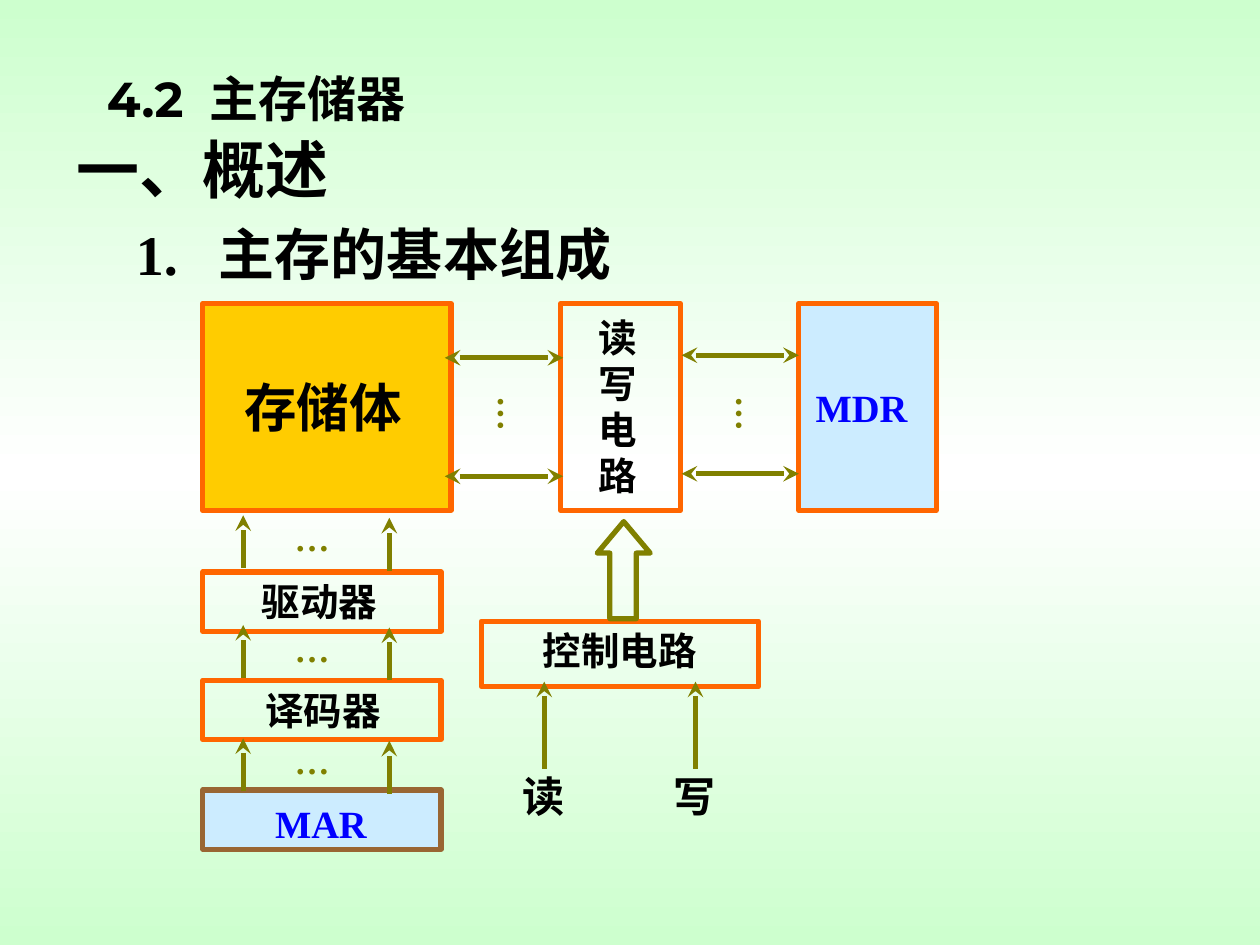
import copy
import pptx
import pptx.util
import pptx.dml.color
import pptx.enum.shapes
import pptx.enum.text
import pptx.oxml
import pptx.oxml.ns

# The slide is a grid of 100 columns by 75 rows of square cells
COLUMNS, ROWS = 100, 75
CELL = pptx.util.Inches(10) // COLUMNS

THEME = {
    "ink": "000000", "register_ink": "0000FF", "wire": "808000",
    "frame": "FF6600", "address_frame": "996633",
    "memory": "FFCC00", "register": "CCECFF",
    "edge": "CDFFCE", "middle": "FFFFFF",
    "serif": "Times New Roman", "heading": "Montserrat",
    "title": 28, "section": 36, "topic": 32, "body": 30,
    "block": 22, "signal": 24, "dots": 20, "line": 3,
}


def color(name):
    return pptx.dml.color.RGBColor.from_string(THEME[name])


def cells(*values):
    return [round(value * CELL) for value in values]


def apply(target, values):
    for name, value in values.items():
        setattr(target, name, value)


def paint_background(slide):
    fill = slide.background.fill
    fill.gradient()
    fill.gradient_angle = 90
    first = fill._fill._gradFill.gsLst[0]
    first.addnext(copy.deepcopy(first))
    stops = zip(fill.gradient_stops, (0, 0.5, 1), ("edge", "middle", "edge"))
    for stop, position, name in stops:
        stop.position = position
        stop.color.rgb = color(name)


def style_shape(shape, line, fill=None):
    shape.shadow.inherit = False
    if fill:
        shape.fill.solid()
        shape.fill.fore_color.rgb = color(fill)
    else:
        shape.fill.background()
    shape.line.color.rgb = color(line)
    shape.line.width = pptx.util.Pt(THEME["line"])


def add_block(slide, box, line="frame", fill=None):
    shape = slide.shapes.add_shape(
        pptx.enum.shapes.MSO_SHAPE.RECTANGLE, *cells(*box))
    style_shape(shape, line, fill)


def add_label(slide, box, text, size, ink="ink", font="serif", fill=None,
              align="LEFT", anchor="TOP", wrap=True, tab=None, rotation=0):
    shape = slide.shapes.add_textbox(*cells(*box))
    shape.rotation = rotation
    if fill:
        shape.fill.solid()
        shape.fill.fore_color.rgb = color(fill)
    frame = shape.text_frame
    apply(frame, {
        "text": text, "word_wrap": wrap,
        "vertical_anchor": getattr(pptx.enum.text.MSO_ANCHOR, anchor),
    })
    for paragraph in frame.paragraphs:
        paragraph.alignment = getattr(pptx.enum.text.PP_ALIGN, align)
        if tab:
            properties = paragraph._p.get_or_add_pPr()
            stops = pptx.oxml.parse_xml(
                f'<a:tabLst {pptx.oxml.ns.nsdecls("a")}>'
                f'<a:tab pos="{cells(tab)[0]}" algn="l"/></a:tabLst>')
            properties.append(stops)
        for run in paragraph.runs:
            apply(run.font, {"name": THEME[font], "bold": True,
                             "size": pptx.util.Pt(THEME[size])})
            run.font.color.rgb = color(ink)


def add_arrow(slide, start, end, both_ends=False):
    connector = slide.shapes.add_connector(
        pptx.enum.shapes.MSO_CONNECTOR.STRAIGHT, *cells(*start, *end))
    connector.line.color.rgb = color("wire")
    connector.line.width = pptx.util.Pt(THEME["line"])
    line = connector.line._get_or_add_ln()
    for tag in ("headEnd", "tailEnd") if both_ends else ("tailEnd",):
        line.append(pptx.oxml.parse_xml(
            f'<a:{tag} {pptx.oxml.ns.nsdecls("a")} type="stealth"/>'))
    connector._element.spPr.append(pptx.oxml.parse_xml(
        f'<a:effectLst {pptx.oxml.ns.nsdecls("a")}/>'))


def add_control_arrow(slide):
    outline = [(47.4, 43.9), (48.4, 43.9), (48.4, 49.1), (50.5, 49.1),
               (50.5, 43.9), (51.6, 43.9), (49.5, 41.4)]
    points = [tuple(cells(*point)) for point in outline]
    builder = slide.shapes.build_freeform(*points[0])
    builder.add_line_segments(points[1:], close=True)
    style_shape(builder.convert_to_shape(), "wire")


def add_dots(slide, left, top, rotation=0):
    add_label(slide, (left, top, 6.3, 4.4), "…", "dots", "wire",
              rotation=rotation)


def main():
    presentation = pptx.Presentation()
    presentation.slide_width = COLUMNS * CELL
    presentation.slide_height = ROWS * CELL
    slide = presentation.slides.add_slide(presentation.slide_layouts[6])
    paint_background(slide)

    # Headings
    add_label(slide, (7.5, -1.9, 85, 12.5), "4.2\t主存储器", "title",
              font="heading", anchor="BOTTOM", tab=8.15)
    add_label(slide, (5.1, 9.9, 41.7, 7), "一、概述", "section")
    add_label(slide, (9.8, 16.9, 61.4, 6.4), "1.\t主存的基本组成", "topic",
              tab=6.6)

    # Control circuit and its hollow arrow
    add_block(slide, (38.2, 49.3, 22, 5.2))
    add_control_arrow(slide)
    add_label(slide, (42.1, 49.3, 18.1, 4.7), "控制电路", "block")

    # Top row: memory body, read/write circuit, data register
    top, height = 24.1, 16.4
    add_block(slide, (16.1, top, 19.7, height), fill="memory")
    add_label(slide, (18.4, 29.3, 15.2, 6), "存储体", "body", fill="memory")
    add_block(slide, (44.5, top, 9.5, height))
    add_label(slide, (46.5, 24.4, 5.4, 15.7), "读\n写\n电\n路", "block")
    add_block(slide, (63.4, top, 10.9, height), fill="register")
    add_label(slide, (63.7, 30, 9.3, 4.7), "MDR", "block", "register_ink",
              fill="register", align="RIGHT", wrap=False)

    # Address column: driver, decoder, address register
    for row, left, text in ((45.4, 19.8, "驱动器"), (54, 20.1, "译码器")):
        add_block(slide, (16.1, row, 18.9, 4.7))
        add_label(slide, (left, row, 13.7, 4.7), text, "block")
    add_block(slide, (16.1, 62.7, 18.9, 4.7), "address_frame", "register")
    add_label(slide, (20.8, 63, 9.3, 4.7), "MAR", "block", "register_ink",
              align="RIGHT", wrap=False)

    # Data lines between the top blocks
    for left, right, row, dots in ((35.3, 44.7, 28.4, 35.7),
                                   (54.1, 63.4, 28.2, 54.6)):
        for y in (row, row + 9.4):
            add_arrow(slide, (left, y), (right, y), both_ends=True)
        add_dots(slide, dots, 29.9, rotation=270)

    # Address lines rising through the column
    for row, dots in ((45.1, 40.5), (53.8, 49.3), (62.8, 58.2)):
        for x, y in ((19.3, row), (30.9, row + 0.2)):
            add_arrow(slide, (x, y), (x, y - 4.2))
        add_dots(slide, 22.4, dots)

    # Read and write signals
    for x, text in ((43.2, "读"), (55.2, "写")):
        add_arrow(slide, (x, 61), (x, 54.1))
        add_label(slide, (x - 2.7, 60.7, 5.3, 5), text, "signal",
                  align="RIGHT", wrap=False)

    presentation.save("out.pptx")


if __name__ == "__main__":
    main()
